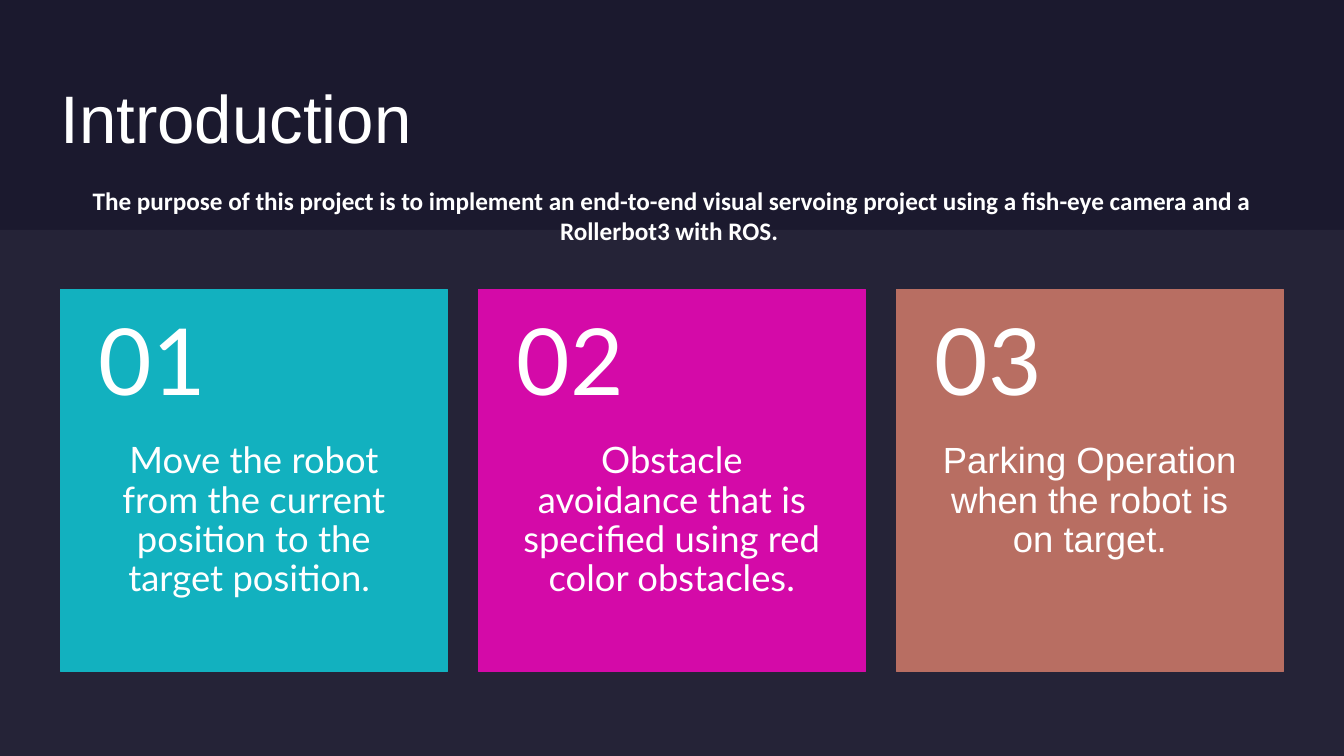
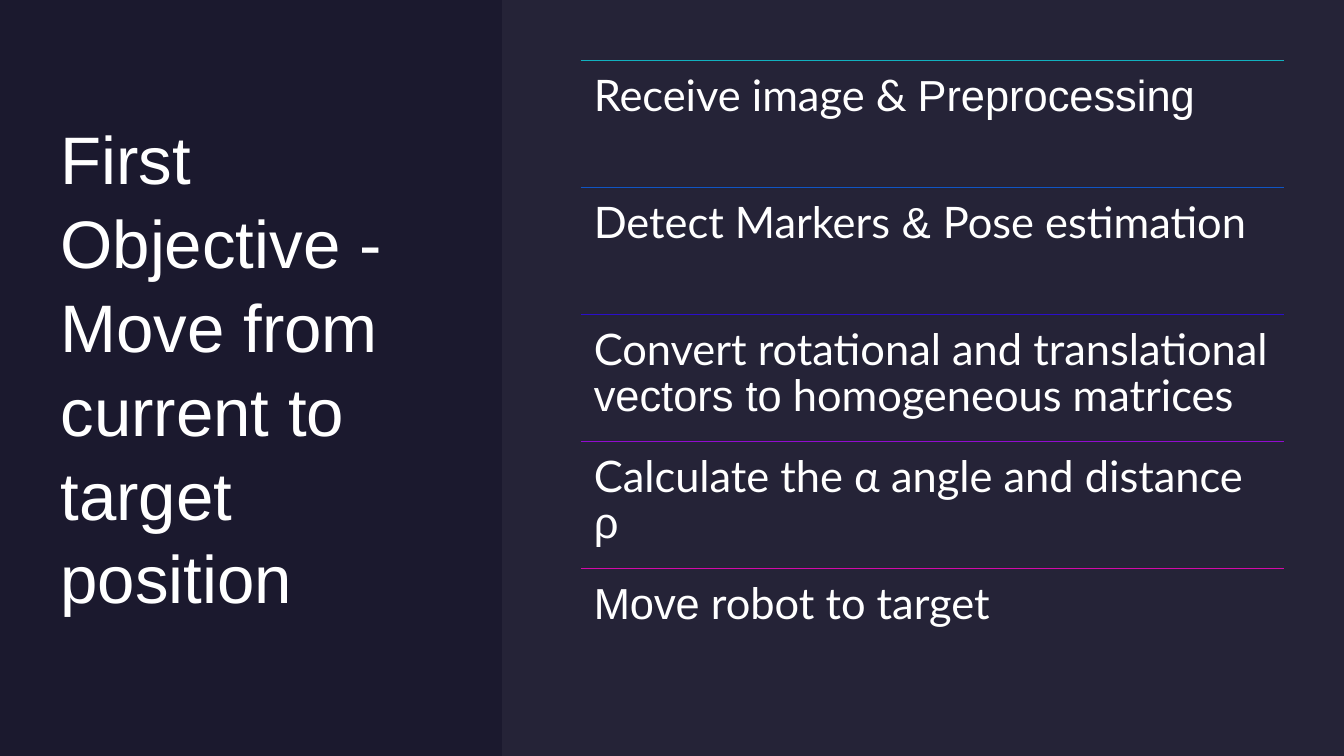
from lxml import etree
from pptx import Presentation
from pptx import util as u
from pptx.dml.color import RGBColor
from pptx.enum import shapes, text
from pptx.oxml.ns import qn

NIGHT, WHITE, VEIL = "1B192E", "FFFFFF", "E4E3F0"
TEAL, BLUE, INDIGO, PURPLE, MAGENTA, CLAY = (
    "12B1BF", "1055C4", "2A0EC9", "910CCF", "D40AA8", "B86E62")
WIDTH, HEIGHT, MARGIN = 13.33, 7.5, 0.6
VEIL_OPACITY = 5
TITLE_SIZE, TITLE_SPACING = 48, 1.04

INTRO_TITLE = "Introduction"
PURPOSE = ("The purpose of this project is to implement an end-to-end visual servoing "
           "project using a fish-eye camera and a Rollerbot3 with ROS. ")
GOALS = [
    (TEAL, "01", "Lato", "Move the robot from the current position to the target position. "),
    (MAGENTA, "02", "Lato", "Obstacle avoidance that is specified using red color obstacles."),
    (CLAY, "03", "Arial", "Parking Operation when the robot is on target."),
]
OBJECTIVE_TITLE = "First Objective - Move from current to target position"
STEPS = [
    (TEAL, [("Receive image & ", "Lato"), ("Preprocessing", "Arial")]),
    (BLUE, [("Detect Markers", "Lato"), (" & ", "Arial"), ("Pose estimation", "Lato")]),
    (INDIGO, [("Convert rotational and translational ", "Lato"), ("vectors to", "Arial"),
              (" homogeneous matrices", "Lato")]),
    (PURPLE, [("Calculate the α angle and distance ", "Lato"), ("ρ", "Arial")]),
    (MAGENTA, [("Move", "Arial"), (" robot to target", "Lato")]),
]


def color(value):
    return RGBColor.from_string(value)


def add_text(slide, box, runs, size, insets, centered=False, middle=False,
             spacing=None, bold=False):
    frame = slide.shapes.add_textbox(*map(u.Inches, box)).text_frame
    frame.word_wrap = True
    frame.margin_left = frame.margin_right = u.Inches(insets[0])
    frame.margin_top, frame.margin_bottom = map(u.Inches, insets[1:])
    frame.vertical_anchor = text.MSO_ANCHOR.MIDDLE if middle else text.MSO_ANCHOR.TOP
    paragraph = frame.paragraphs[0]
    paragraph.alignment = text.PP_ALIGN.CENTER if centered else text.PP_ALIGN.LEFT
    if spacing:
        paragraph.line_spacing = spacing
    for words, font in runs:
        run = paragraph.add_run()
        run.text = words
        run.font.name, run.font.size, run.font.bold = font, u.Pt(size), bold
        run.font.color.rgb = color(WHITE)


def add_panel(slide, box, fill, opacity=100):
    panel = slide.shapes.add_shape(shapes.MSO_SHAPE.RECTANGLE, *map(u.Inches, box))
    panel.shadow.inherit = False
    panel.fill.solid()
    panel.fill.fore_color.rgb = color(fill)
    panel.line.fill.background()
    if opacity < 100:
        tint = panel.fill._xPr.find(qn("a:solidFill"))[0]
        etree.SubElement(tint, qn("a:alpha")).set("val", str(opacity * 1000))
    return panel


def add_rule(slide, left, top, width, stroke):
    rule = slide.shapes.add_connector(
        shapes.MSO_CONNECTOR.STRAIGHT, *map(u.Inches, (left, top, left + width, top)))
    rule.line.color.rgb = color(stroke)
    rule.line.width = u.Pt(1)
    etree.SubElement(rule._element.spPr, qn("a:effectLst"))


def add_titled_slide(prs, title, title_size, veil_left, veil_top):
    slide = prs.slides.add_slide(prs.slide_layouts[6])
    add_panel(slide, (veil_left, veil_top, WIDTH - veil_left, HEIGHT - veil_top),
              VEIL, VEIL_OPACITY)
    add_text(slide, (MARGIN, MARGIN, *title_size), [(title, "Arial")], TITLE_SIZE,
             (0, 0, 0), middle=True, spacing=TITLE_SPACING)
    return slide


def build_introduction(prs):
    slide = add_titled_slide(prs, INTRO_TITLE, (7.99, 1.08), 0, 2.28)
    card_width, card_height, number_height, top = 3.84, 3.79, 1.52, 2.87
    row_width = WIDTH - 2 * MARGIN
    pitch = (row_width - card_width) / (len(GOALS) - 1)
    for index, (fill, number, font, goal) in enumerate(GOALS):
        left = MARGIN + index * pitch
        card = add_panel(slide, (left, top, card_width, card_height), fill)
        card.line.color.rgb = color(fill)
        card.line.width = u.Pt(1)
        add_text(slide, (left, top + number_height, card_width, card_height - number_height),
                 [(goal, font)], 26, (0.38, 0, 0.36), centered=True, spacing=0.9)
        add_text(slide, (left, top, card_width, number_height), [(number, "Lato")], 66,
                 (0.38, 0.18, 0.18), middle=True, spacing=0.9)
    add_text(slide, (MARGIN, 1.79, row_width, 0.71), [(PURPOSE, "Calibri")], 18,
             (0.1, 0.05, 0.05), centered=True, bold=True)


def build_objective(prs):
    slide = add_titled_slide(prs, OBJECTIVE_TITLE, (3.9, 6.06), 4.98, 0)
    left, width, pitch = 5.76, 6.97, 1.26
    for index, (stroke, runs) in enumerate(STEPS):
        top = MARGIN + index * pitch
        add_rule(slide, left, top, width, stroke)
        add_text(slide, (left, top, width, pitch), runs, 31, (0.13, 0.13, 0.13), spacing=0.9)


def main():
    prs = Presentation()
    prs.slide_width, prs.slide_height = u.Inches(WIDTH), u.Inches(HEIGHT)
    backdrop = prs.slide_master.background.fill
    backdrop.solid()
    backdrop.fore_color.rgb = color(NIGHT)
    build_introduction(prs)
    build_objective(prs)
    prs.save("out.pptx")


if __name__ == "__main__":
    main()
